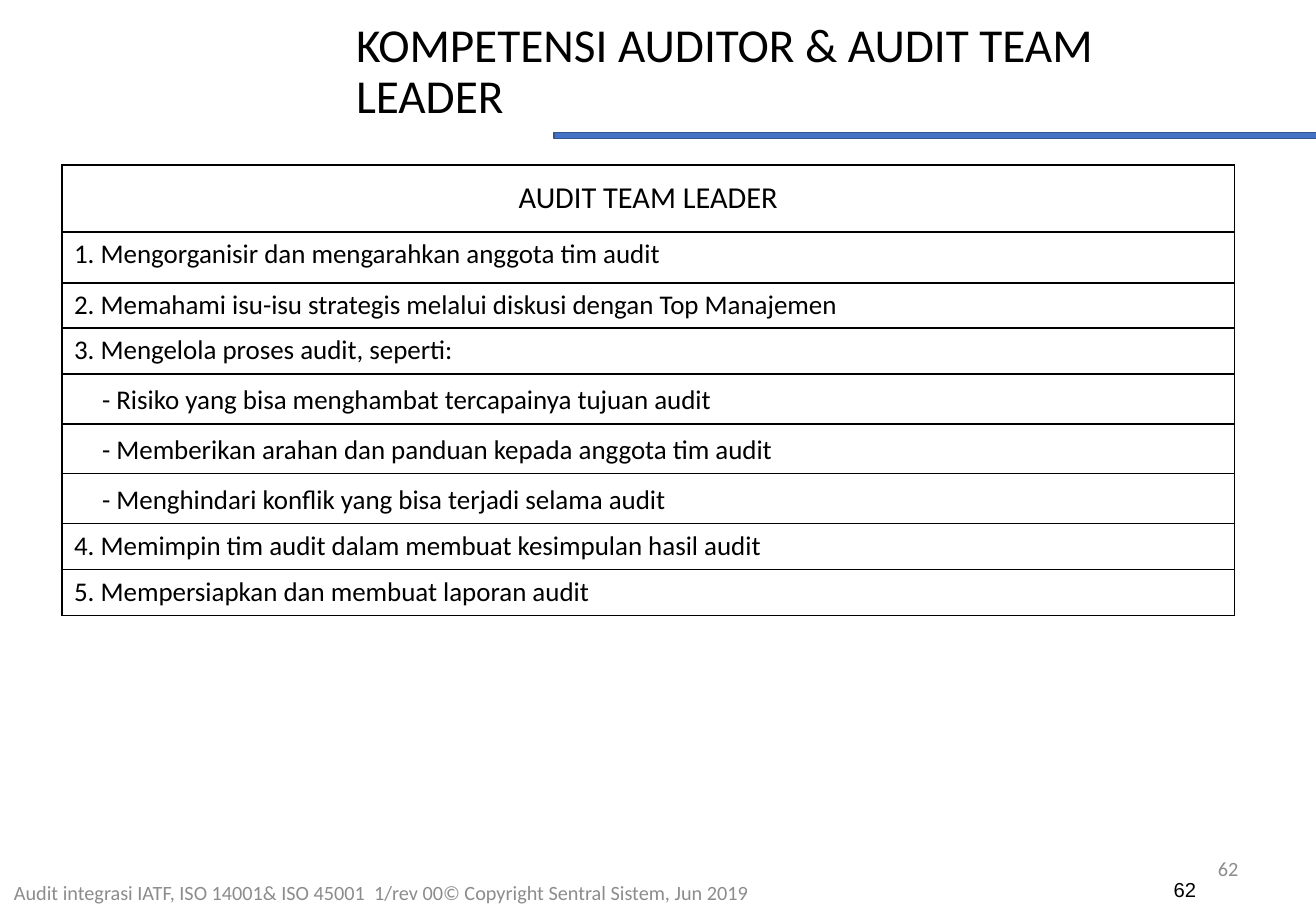
from lxml import etree
from pptx import Presentation
from pptx import util as u
from pptx.dml.color import RGBColor
from pptx.enum import shapes, text
from pptx.oxml import ns

BLACK, GREY = "000000", "8C8C8C"
LEFT, CENTER, RIGHT = text.PP_ALIGN.LEFT, text.PP_ALIGN.CENTER, text.PP_ALIGN.RIGHT
MIDDLE, TOP = text.MSO_ANCHOR.MIDDLE, text.MSO_ANCHOR.TOP

HEADING = "AUDIT TEAM LEADER"
DUTIES = [
    ("1. Mengorganisir dan mengarahkan anggota tim audit", 0.42),
    ("2. Memahami isu-isu strategis melalui diskusi dengan Top Manajemen", 0.37),
    ("3. Mengelola proses audit, seperti:", 0.38),
    ("- Risiko yang bisa menghambat tercapainya tujuan audit", 0.41),
    ("- Memberikan arahan dan panduan kepada anggota tim audit", 0.41),
    ("- Menghindari konflik yang bisa terjadi selama audit", 0.41),
    ("4. Memimpin tim audit dalam membuat kesimpulan hasil audit", 0.38),
    ("5. Mempersiapkan dan membuat laporan audit", 0.38),
]


def color(value):
    return RGBColor.from_string(value)


class SlideBuilder:
    """Holds the style and the current slide, and adds each kind of element."""

    def __init__(self, deck, font="Calibri"):
        self.font = font
        self.slide = deck.slides.add_slide(deck.slide_layouts[5])

    def add_words(self, frame, words, size, ink=BLACK, align=LEFT, font=None):
        para = frame.paragraphs[0]
        para.alignment = align
        span = para.add_run()
        span.text = words
        span.font.size = u.Pt(size)
        span.font.name = font or self.font
        span.font.color.rgb = color(ink)
        return para

    def title(self, words, place):
        box = self.slide.shapes.title
        box.left, box.top, box.width, box.height = map(u.Inches, place)
        frame = box.text_frame
        frame.word_wrap = True
        frame.auto_size = text.MSO_AUTO_SIZE.NONE
        frame.vertical_anchor = MIDDLE
        para = self.add_words(frame, words, 28)
        para.line_spacing = 0.9
        para.space_before = u.Pt(0)

    def label(self, words, place, anchor=MIDDLE, **style):
        frame = self.slide.shapes.add_textbox(*map(u.Inches, place)).text_frame
        frame.word_wrap = True
        frame.vertical_anchor = anchor
        self.add_words(frame, words, 12, **style)

    def bar(self, place, fill, line):
        box = self.slide.shapes.add_shape(
            shapes.MSO_SHAPE.RECTANGLE, *map(u.Inches, place))
        box.shadow.inherit = False
        box.fill.solid()
        box.fill.fore_color.rgb = color(fill)
        box.line.color.rgb = color(line)
        box.line.width = u.Pt(1)

    def border(self, cell):
        properties = cell._tc.get_or_add_tcPr()
        for index, side in enumerate(("lnL", "lnR", "lnT", "lnB")):
            line = etree.Element(ns.qn(f"a:{side}"), w=str(u.Pt(1)))
            fill = etree.SubElement(line, ns.qn("a:solidFill"))
            etree.SubElement(fill, ns.qn("a:srgbClr"), val=BLACK)
            properties.insert(index, line)

    def table(self, heading, items, left, top, width, heading_height):
        rows = [(heading, heading_height)] + items
        total = sum(height for _, height in rows)
        grid = self.slide.shapes.add_table(
            len(rows), 1, *map(u.Inches, (left, top, width, total))).table
        grid.first_row = grid.horz_banding = False
        for index, (words, height) in enumerate(rows):
            grid.rows[index].height = u.Inches(height)
            cell = grid.cell(index, 0)
            cell.fill.background()
            self.border(cell)
            if index == 0:
                cell.vertical_anchor = MIDDLE
                self.add_words(cell.text_frame, words, 18, align=CENTER)
                continue
            cell.vertical_anchor = TOP
            if words.startswith("-"):
                cell.margin_left = u.Inches(0.33)
                cell.margin_top = u.Inches(0.08)
            self.add_words(cell.text_frame, words, 16)


def main():
    deck = Presentation()
    deck.slide_width, deck.slide_height = u.Inches(10.83), u.Inches(7.5)
    page = SlideBuilder(deck)
    page.label("62", (7.76, 6.95, 2.53, 0.4), ink=GREY, align=RIGHT)
    page.label("62", (9.56, 7.17, 2.53, 0.4), anchor=TOP, font="Arial")
    page.table(HEADING, DUTIES, 0.51, 1.36, 9.65, 0.55)
    page.title("KOMPETENSI AUDITOR & AUDIT TEAM LEADER", (2.83, -0.03, 7.55, 1.25))
    page.bar((4.56, 1.09, 6.28, 0.05), "4472C4", "325491")
    page.label("Audit integrasi IATF, ISO 14001& ISO 45001  1/rev 00"
               "© Copyright Sentral Sistem, Jun 2019",
               (0, 7.15, 6.28, 0.4), ink=GREY, align=CENTER)
    deck.save("out.pptx")


if __name__ == "__main__":
    main()
